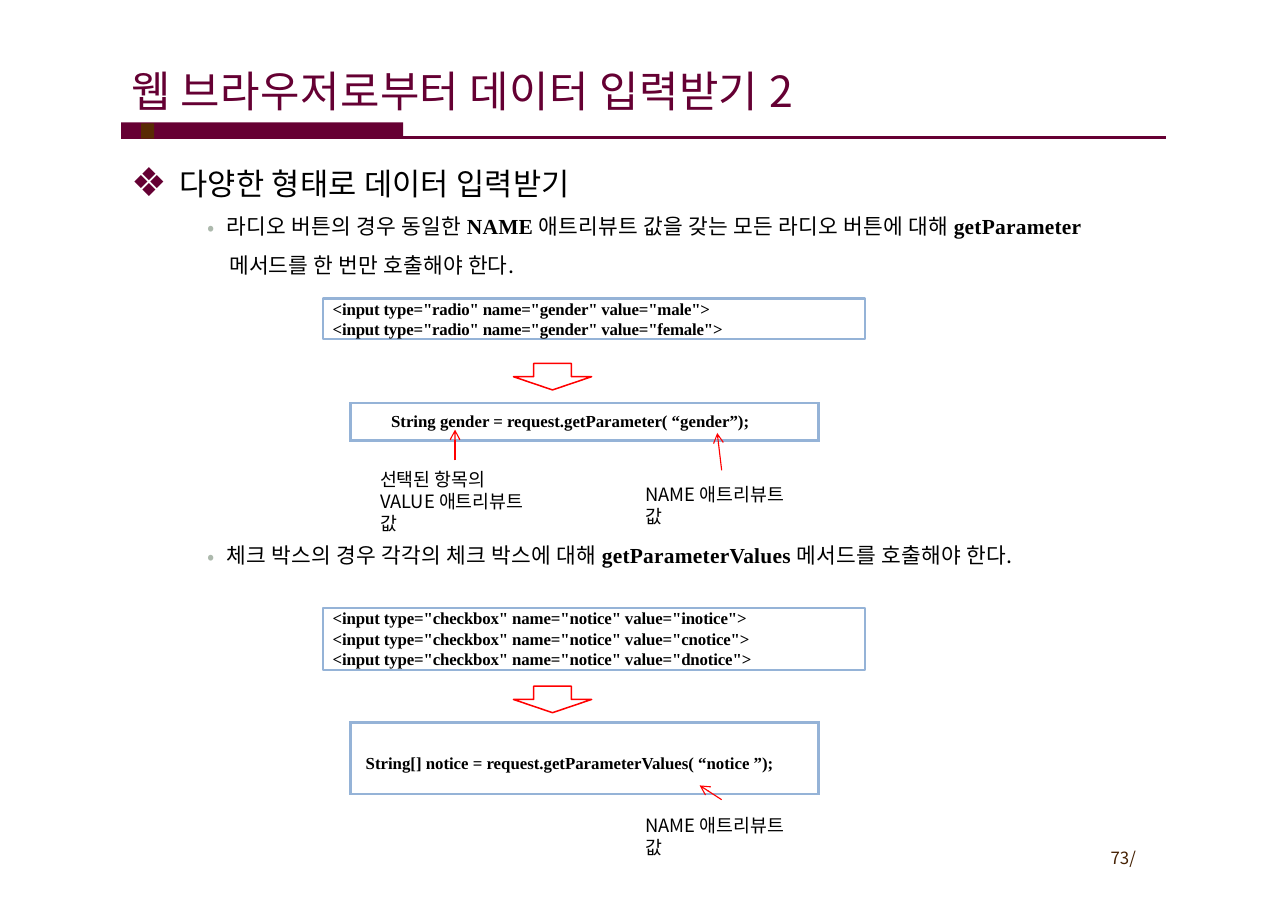
from dataclasses import dataclass

from lxml.etree import SubElement
from pptx import Presentation
from pptx.dml.color import RGBColor
from pptx.enum.shapes import MSO_CONNECTOR, MSO_SHAPE
from pptx.enum.text import MSO_ANCHOR, MSO_AUTO_SIZE, PP_ALIGN
from pptx.oxml.ns import qn
from pptx.util import Inches, Pt

COLORS = {
    "title": "650033", "band": "660033", "accent": "592A03", "text": "000000",
    "dot": "ADB9AD", "box": "95B3D7", "arrow": "FF0000", "page": "452103",
}
KOREAN, CODE = "Noto Sans CJK KR", "Times New Roman"


@dataclass
class Run:
    text: str
    font: str = KOREAN
    bold: bool = False


@dataclass
class Bullet:
    char: str
    font: str
    color: str
    percent: int = 100


@dataclass
class Para:
    runs: list[Run]
    size: float
    color: str = "text"
    line: float = 0
    before: float = 0
    margin: float = 0
    hang: float = 0
    bullet: Bullet | None = None
    tracking: float = 0


@dataclass
class CodeBox:
    top: float
    height: float
    lines: list[str]
    tracking: float = -0.1


@dataclass
class CallFrame:
    """A code line inside a frame of four separate edges."""
    top: float
    bottom: float
    text_left: float
    text_top: float
    text_width: float
    code: str


@dataclass
class Label:
    left: float
    top: float
    width: float
    lines: list[str]
    size: float = 12
    color: str = "text"


@dataclass
class Pointer:
    start: tuple[float, float]
    end: tuple[float, float]


DIAMONDS = Bullet("❖", "Arial", "title", 130)
DOT = Bullet("•", KOREAN, "dot")

TITLE = Para([Run("웹 브라우저로부터 데이터 입력받기 2")], 28, "title", 33,
             margin=0.01, tracking=0.35)
RADIO_LIST = [
    Para([Run("다양한 형태로 데이터 입력받기")], 20, line=25,
         margin=0.45, hang=0.44, bullet=DIAMONDS, tracking=0.13),
    Para([Run("라디오 버튼의 경우 동일한 "), Run("NAME ", CODE, True),
          Run("애트리뷰트 값을 갖는 모든 라디오 버튼에 대해 "),
          Run("getParameter", CODE, True)],
         14, before=7.7, margin=0.88, hang=0.18, bullet=DOT, tracking=0.15),
    Para([Run("메서드를 한 번만 호출해야 한다.")], 14, before=8.4, margin=0.9, tracking=0.1),
]
CHECKBOX_LIST = [
    Para([Run("체크 박스의 경우 각각의 체크 박스에 대해 "),
          Run("getParameterValues ", CODE, True), Run("메서드를 호출해야 한다.")],
         14, margin=0.19, hang=0.18, bullet=DOT, tracking=0.15),
]
CODE_BOXES = [
    CodeBox(2.71, 0.37, [f'<input type="radio" name="gender" value="{v}">'
                         for v in ("male", "female")], -0.14),
    CodeBox(5.52, 0.56, [f'<input type="checkbox" name="notice" value="{v}">'
                         for v in ("inotice", "cnotice", "dnotice")]),
]
CALL_FRAMES = [
    CallFrame(3.66, 4, 3.54, 3.73, 3.53, "String gender = request.getParameter( “gender”);"),
    CallFrame(6.56, 7.21, 3.31, 6.83, 4,
              "String[] notice = request.getParameterValues( “notice ”);"),
]
FRAME_LEFT, FRAME_RIGHT = 3.18, 7.43
LABELS = [
    Label(3.44, 4.25, 1.37, ["선택된 항목의", "VALUE 애트리뷰트 값"]),
    Label(5.85, 4.39, 1.33, ["NAME 애트리뷰트 값"]),
    Label(5.85, 7.39, 1.33, ["NAME 애트리뷰트 값"]),
    Label(10.07, 7.7, 0.46, ["73/"], 11, "page"),
]
POINTERS = [
    Pointer((4.13, 4.18), (4.13, 3.9)),
    Pointer((6.55, 4.27), (6.51, 3.93)),
    Pointer((6.55, 7.26), (6.35, 7.13)),
]
BLOCK_ARROW_TOPS = (3.3, 6.23)


def rgb(name: str) -> RGBColor:
    return RGBColor.from_string(COLORS[name])


def set_bullet(pPr, bullet: Bullet | None) -> None:
    if bullet is None:
        SubElement(pPr, qn("a:buNone"))
        return
    clr = SubElement(pPr, qn("a:buClr"))
    SubElement(clr, qn("a:srgbClr"), val=COLORS[bullet.color])
    SubElement(pPr, qn("a:buSzPct"), val=str(bullet.percent * 1000))
    SubElement(pPr, qn("a:buFont"), typeface=bullet.font)
    SubElement(pPr, qn("a:buChar"), char=bullet.char)


def write(sp, paras: list[Para]) -> None:
    tf = sp.text_frame
    tf.word_wrap = True
    tf.auto_size = MSO_AUTO_SIZE.NONE
    tf.vertical_anchor = MSO_ANCHOR.TOP
    tf.margin_left = tf.margin_top = tf.margin_right = tf.margin_bottom = 0
    for i, para in enumerate(paras):
        p = tf.add_paragraph() if i else tf.paragraphs[0]
        p.alignment = PP_ALIGN.LEFT
        p.line_spacing = Pt(para.line or para.size * 1.2)
        p.space_before, p.space_after = Pt(para.before), Pt(0)
        pPr = p._p.get_or_add_pPr()
        pPr.set("marL", str(Inches(para.margin)))
        pPr.set("indent", str(-Inches(para.hang)))
        set_bullet(pPr, para.bullet)
        for run in para.runs:
            r = p.add_run()
            r.text = run.text
            r.font.size, r.font.bold, r.font.name = Pt(para.size), run.bold, run.font
            r.font.color.rgb = rgb(para.color)
            rPr = r._r.get_or_add_rPr()
            SubElement(rPr, qn("a:ea"), typeface=run.font)
            rPr.set("spc", str(round(para.tracking * 100)))


def place(sp, left: float, top: float, width: float, height: float) -> None:
    sp.left, sp.top = Inches(left), Inches(top)
    sp.width, sp.height = Inches(width), Inches(height)


def add_text(slide, left: float, top: float, width: float, height: float,
             paras: list[Para]) -> None:
    sp = slide.shapes.add_textbox(0, 0, 0, 0)
    place(sp, left, top, width, height)
    write(sp, paras)


def add_shape(slide, kind, left: float, top: float, width: float, height: float,
              fill: str | None = None, line: str | None = None, weight: float = 1):
    sp = slide.shapes.add_shape(kind, Inches(left), Inches(top), Inches(width), Inches(height))
    sp.shadow.inherit = False
    if fill:
        sp.fill.solid()
        sp.fill.fore_color.rgb = rgb(fill)
    else:
        sp.fill.background()
    if line:
        sp.line.color.rgb = rgb(line)
        sp.line.width = Pt(weight)
    else:
        sp.line.fill.background()
    return sp


def add_line(slide, start: tuple[float, float], end: tuple[float, float],
             color: str, weight: float, arrow: bool = False) -> None:
    ends = [Inches(v) for v in (*start, *end)]
    cxn = slide.shapes.add_connector(MSO_CONNECTOR.STRAIGHT, *ends)
    cxn.line.color.rgb = rgb(color)
    cxn.line.width = Pt(weight)
    if arrow:
        SubElement(cxn.line._get_or_add_ln(), qn("a:tailEnd"), type="arrow")
    SubElement(cxn._element.spPr, qn("a:effectLst"))


def add_call_frame(slide, frame: CallFrame) -> None:
    for x in (FRAME_LEFT, FRAME_RIGHT):
        add_line(slide, (x, frame.top - 0.01), (x, frame.bottom + 0.01), "box", 1.5)
    for y in (frame.top, frame.bottom):
        add_line(slide, (FRAME_LEFT - 0.01, y), (FRAME_RIGHT + 0.01, y), "box", 1.5)
    add_text(slide, frame.text_left, frame.text_top, frame.text_width, 0.19,
             [Para([Run(frame.code, CODE, True)], 11, margin=0.01, tracking=-0.04)])


def main() -> None:
    prs = Presentation()
    prs.slide_width, prs.slide_height = Inches(11.69), Inches(8.27)
    slide = prs.slides.add_slide(prs.slide_layouts[3])

    title, radio, checkbox = slide.placeholders
    for sp, box, paras in ((title, (1.18, 0.6, 9.33, 0.46), [TITLE]),
                           (radio, (1.18, 1.48, 9.25, 1), RADIO_LIST),
                           (checkbox, (1.87, 4.92, 8.04, 0.24), CHECKBOX_LIST)):
        place(sp, *box)
        write(sp, paras)

    add_shape(slide, MSO_SHAPE.RECTANGLE, 1.1, 1.11, 2.56, 0.15, "band")
    add_line(slide, (1.1, 1.25), (10.58, 1.25), "band", 1.6)
    add_shape(slide, MSO_SHAPE.RECTANGLE, 1.28, 1.12, 0.12, 0.14, "accent")

    for box in CODE_BOXES:
        sp = add_shape(slide, MSO_SHAPE.RECTANGLE, 2.93, box.top, 4.92, box.height,
                       line="box", weight=1.5)
        write(sp, [Para([Run(t, CODE, True)], 11, margin=0.09, tracking=box.tracking)
                   for t in box.lines])
    for frame in CALL_FRAMES:
        add_call_frame(slide, frame)
    for top in BLOCK_ARROW_TOPS:
        sp = add_shape(slide, MSO_SHAPE.DOWN_ARROW, 4.66, top, 0.71, 0.24, line="arrow")
        sp.adjustments[0], sp.adjustments[1] = 0.48, 0.5
    for label in LABELS:
        add_text(slide, label.left, label.top, label.width, len(label.lines) * 0.2,
                 [Para([Run(t)], label.size, label.color, margin=0.01) for t in label.lines])
    for pointer in POINTERS:
        add_line(slide, pointer.start, pointer.end, "arrow", 0.75, arrow=True)

    prs.save("out.pptx")


if __name__ == "__main__":
    main()
